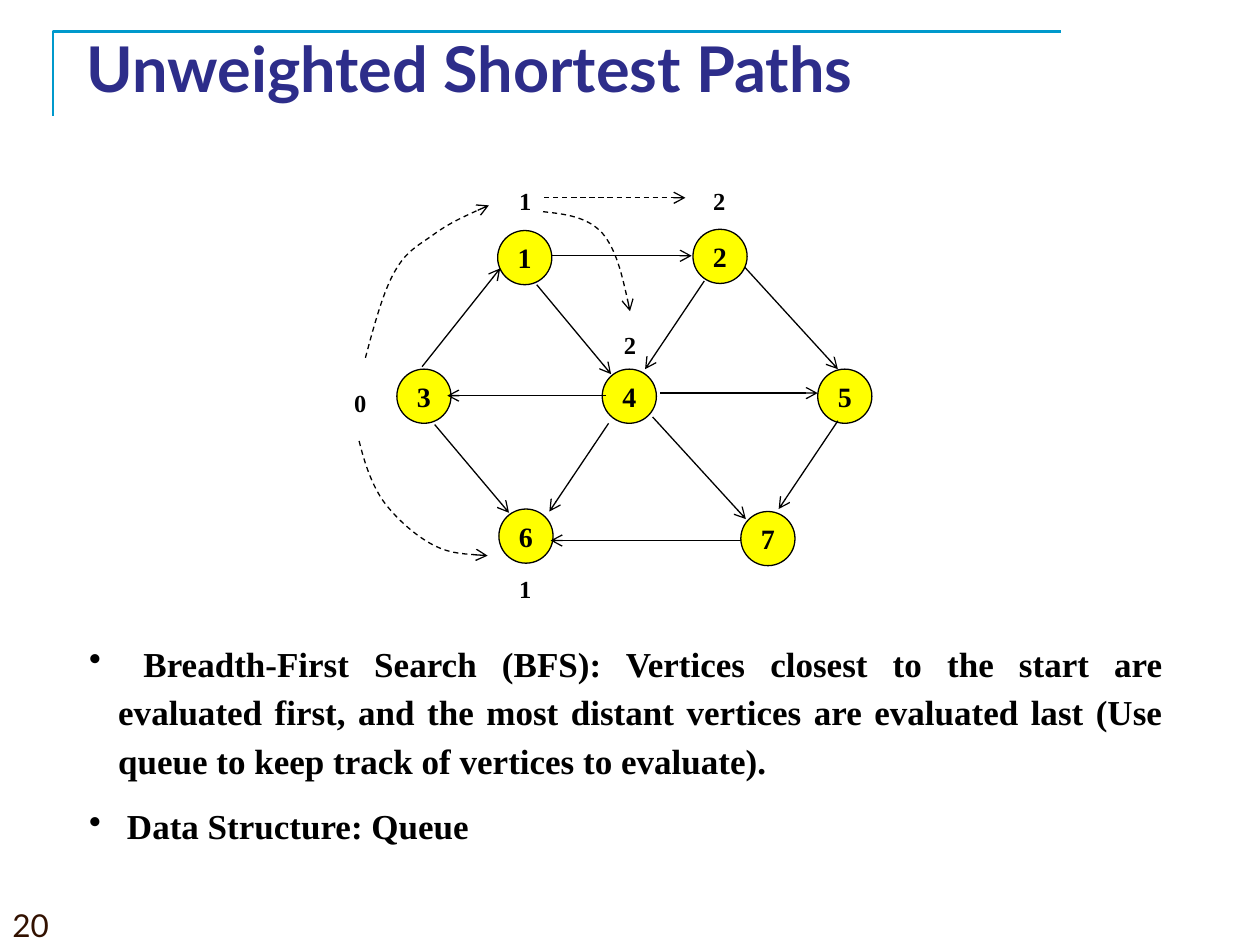
from pptx import Presentation
from pptx.dml.color import RGBColor
from pptx.enum.dml import MSO_LINE
from pptx.enum.shapes import MSO_CONNECTOR, MSO_SHAPE
from pptx.enum.text import MSO_ANCHOR, PP_ALIGN
from pptx.oxml.ns import qn
from pptx.util import Inches, Pt
from lxml import etree

BLACK = RGBColor(0x00, 0x00, 0x00)
YELLOW = RGBColor(0xFF, 0xFF, 0x00)
NAVY = RGBColor(0x2D, 0x2D, 0x8A)
TEAL = RGBColor(0x00, 0x99, 0xCC)
BROWN = RGBColor(0x32, 0x11, 0x00)

STRAIGHT = MSO_CONNECTOR.STRAIGHT
ELLIPSE = MSO_SHAPE.OVAL
DASH = MSO_LINE.DASH
MIDDLE, TOP = MSO_ANCHOR.MIDDLE, MSO_ANCHOR.TOP
LEFT, CENTER, JUSTIFY = PP_ALIGN.LEFT, PP_ALIGN.CENTER, PP_ALIGN.JUSTIFY

# The page is a grid of 100 columns by 75 rows.
COLUMNS, ROWS = 100, 75
NODE_SIZE = 4.3
LABEL_WIDTH, LABEL_HEIGHT = 3, 3.3

TITLE = {"name": "Lato", "size": Pt(36), "bold": True}
NUMBER = {"name": "Lato", "size": Pt(18)}
BODY = {"name": "Times New Roman", "size": Pt(20), "bold": True}
VERTEX = {**BODY, "size": Pt(16)}
DISTANCE = {**BODY, "size": Pt(14)}

# Vertex: centre column and row
VERTICES = {
    "1": (41.65, 20.45), "2": (57.15, 20.35), "3": (33.65, 31.45),
    "4": (49.95, 31.45), "5": (67.05, 31.45), "6": (41.75, 42.55),
    "7": (60.95, 42.75),
}
EDGES = [
    ((43.8, 20.3), (54.9, 20.3)),
    ((59.1, 21.2), (66.5, 29.3)),
    ((66.5, 33.4), (61.8, 40.4)),
    ((55.9, 22.3), (51.2, 29.3)),
    ((48.3, 33.6), (43.6, 40.6)),
    ((51.8, 33.1), (59.2, 41.2)),
    ((42.6, 22.6), (48.5, 29.7)),
    ((34.5, 33.7), (40.4, 40.7)),
    ((58.8, 42.9), (43.7, 42.9)),
    ((33.5, 29.1), (39.7, 21.3)),
    ((52.4, 31.2), (64.9, 31.2)),
    ((48.1, 31.4), (35.5, 31.4)),
]
# Distance from the start: left column and top row of its label
DISTANCES = [("0", 27.1, 30.3), ("1", 40.2, 14.3), ("1", 40.2, 45.1),
             ("2", 55.6, 14.3), ("2", 48.5, 25.7)]
# Each curve: start, then two control points and an end for every segment
CURVES = [
    [(29, 28.4), (29.7, 25.8), (30.4, 23.2), (31.3, 21.6), (32.2, 20),
     (33, 19.6), (34.3, 18.7), (35.5, 17.8), (37.2, 17), (38.8, 16.3)],
    [(28.5, 35), (28.9, 36.6), (29.4, 38.2), (30.3, 39.6), (31.2, 40.9),
     (32.7, 42.3), (34.1, 43.1), (35.5, 43.9), (37.1, 44), (38.7, 44.1)],
    [(43.1, 16.8), (44.9, 17), (46.6, 17.2), (47.8, 18.5), (48.9, 19.8),
     (49.5, 22.3), (50, 24.7)],
]
POINTS = [
    " Breadth-First Search (BFS): Vertices closest to the start are evaluated "
    "first, and the most distant vertices are evaluated last (Use queue to keep "
    "track of vertices to evaluate).",
    " Data Structure: Queue",
]


class Page:
    """Current slide, measured in grid columns and rows."""

    def __init__(self, deck):
        self.slide = deck.slides.add_slide(deck.slide_layouts[6])
        self.shapes = self.slide.shapes
        self.column = deck.slide_width / COLUMNS
        self.row = deck.slide_height / ROWS

    def place(self, *lengths):
        """Turn alternating column and row lengths into EMU."""
        return [round(length * (self.row if index % 2 else self.column))
                for index, length in enumerate(lengths)]

    def fill_text(self, shape, lines, style, color, align, anchor, wrap):
        frame = shape.text_frame
        frame.word_wrap, frame.vertical_anchor = wrap, anchor
        for index, line in enumerate(lines):
            para = frame.add_paragraph() if index else frame.paragraphs[0]
            para.alignment = align
            span = para.add_run()
            span.text = line
            for key, value in style.items():
                setattr(span.font, key, value)
            span.font.color.rgb = color
        return frame.paragraphs

    def text(self, area, lines, style, color=BLACK, align=LEFT, anchor=TOP, wrap=True):
        box = self.shapes.add_textbox(*self.place(*area))
        return self.fill_text(box, lines, style, color, align, anchor, wrap)

    def bullets(self, area, lines):
        for para in self.text(area, lines, BODY, align=JUSTIFY):
            para.line_spacing = 1.15
            props = para._p.get_or_add_pPr()
            props.set("marL", str(Inches(0.23)))
            props.set("indent", str(-Inches(0.23)))
            before = etree.SubElement(props, qn("a:spcBef"))
            etree.SubElement(before, qn("a:spcPct")).set("val", "50000")
            etree.SubElement(props, qn("a:buChar")).set("char", "•")

    def node(self, name, x, y):
        half = NODE_SIZE / 2
        circle = self.shapes.add_shape(
            ELLIPSE, *self.place(x - half, y - half, NODE_SIZE, NODE_SIZE))
        circle.shadow.inherit = False
        circle.fill.solid()
        circle.fill.fore_color.rgb = YELLOW
        self.stroke(circle)
        self.fill_text(circle, [name], VERTEX, BLACK, CENTER, MIDDLE, False)

    def stroke(self, shape, color=BLACK, width=0.75, dash=None, arrow=False):
        line = shape.line
        line.color.rgb, line.width = color, Pt(width)
        if dash is not None:
            line.dash_style = dash
        if arrow:
            outline = shape._element.spPr.find(qn("a:ln"))
            etree.SubElement(outline, qn("a:tailEnd")).set("type", "arrow")

    def arrow(self, start, end, dash=None):
        connector = self.shapes.add_connector(STRAIGHT, *self.place(*start, *end))
        self.stroke(connector, dash=dash, arrow=True)
        etree.SubElement(connector._element.spPr, qn("a:effectLst"))

    def outline(self, points, **stroke):
        spots = [self.place(*point) for point in points]
        builder = self.shapes.build_freeform(*spots[0])
        builder.add_line_segments(spots[1:], close=False)
        shape = builder.convert_to_shape()
        shape.shadow.inherit = False
        shape.fill.background()
        self.stroke(shape, **stroke)
        return shape

    def curve(self, points):
        """Dashed arrow whose straight steps are merged, by threes, into Béziers."""
        shape = self.outline(points, dash=DASH, arrow=True)
        steps = list(shape._element.iter(qn("a:lnTo")))
        track = steps[0].getparent()
        for first in range(0, len(steps), 3):
            bezier = etree.SubElement(track, qn("a:cubicBezTo"))
            for step in steps[first:first + 3]:
                bezier.append(step[0])
                track.remove(step)


def main():
    deck = Presentation()
    deck.slide_width, deck.slide_height = Inches(10), Inches(7.5)
    page = Page(deck)

    page.outline([(4.2, 9.2), (4.2, 2.5), (84.2, 2.5)], color=TEAL, width=1.5)
    page.text((0, 71.4, 31.2, 3.6), ["20"], NUMBER, BROWN)
    page.bullets((6.1, 50, 87.2, 17.5), POINTS)

    for name, center in VERTICES.items():
        page.node(name, *center)
    for start, end in EDGES:
        page.arrow(start, end)
    for value, x, y in DISTANCES:
        page.text((x, y, LABEL_WIDTH, LABEL_HEIGHT), [value], DISTANCE,
                  align=CENTER, wrap=False)
    page.arrow((43.2, 15.7), (54.4, 15.7), dash=DASH)
    for points in CURVES:
        page.curve(points)

    page.text((5.9, 3, 85, 4.7), ["Unweighted Shortest Paths"], TITLE, NAVY,
              JUSTIFY, MIDDLE)
    deck.save("out.pptx")


if __name__ == "__main__":
    main()
